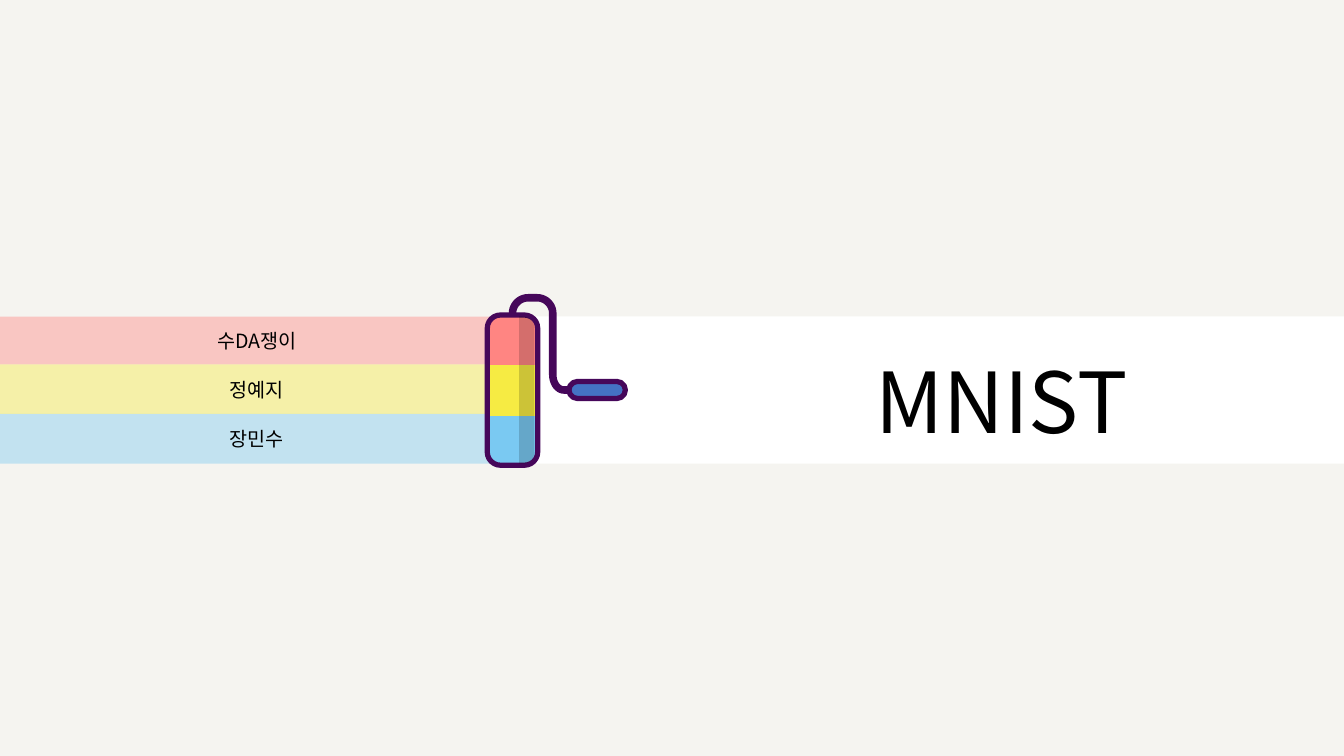
from math import cos, sin, radians
from lxml.etree import SubElement
from pptx import Presentation
from pptx.dml.color import RGBColor
from pptx.enum.shapes import MSO_SHAPE
from pptx.enum.text import MSO_ANCHOR, MSO_AUTO_SIZE, PP_ALIGN
from pptx.oxml import parse_xml
from pptx.oxml.ns import nsdecls, qn
from pptx.util import Pt

FONT = "Noto Sans CJK KR"
RED, YELLOW, BLUE, PURPLE = "FF8582", "F6EB43", "7AC9F2", "46075A"


def paint(fill, color, alpha=100):
    """Fill with a hex colour at an opacity in percent."""
    fill.solid()
    fill.fore_color.rgb = RGBColor.from_string(color)
    if alpha < 100:
        node = next(fill._xPr.iter(qn("a:srgbClr")))
        SubElement(node, qn("a:alpha")).set("val", str(alpha * 1000))


def arc(x, y, wide, high, start, end):
    """Points of an elliptic arc; angles in degrees, clockwise from right."""
    steps = 10
    turns = [radians(start + (end - start) * i / steps) for i in range(steps + 1)]
    return [(x + wide * cos(t), y + high * sin(t)) for t in turns]


deck = Presentation()
deck.slide_width, deck.slide_height = Pt(960), Pt(540)
slide = deck.slides.add_slide(deck.slide_layouts[5])
paint(slide.background.fill, "F5F4F0")
shapes = slide.shapes

# White strip and the three painted bands
strip = shapes.add_shape(MSO_SHAPE.RECTANGLE, Pt(368.6), Pt(226.1), Pt(591.4), Pt(105.1))
strip.shadow.inherit = False
paint(strip.fill, "FFFFFF")
strip.line.fill.background()

bands = [("수DA쟁이", RED, 226.1, 34.2), ("정예지", YELLOW, 260.3, 35.4),
         ("장민수", BLUE, 295.7, 35.5)]
for name, color, top, high in bands:
    band = shapes.add_shape(MSO_SHAPE.RECTANGLE, 0, Pt(top), Pt(367), Pt(high))
    band.shadow.inherit = False
    paint(band.fill, color, 41)
    band.line.fill.background()
    frame = band.text_frame
    frame.vertical_anchor = MSO_ANCHOR.MIDDLE
    para = frame.paragraphs[0]
    para.alignment = PP_ALIGN.CENTER
    run = para.add_run()
    run.text = name
    for key, value in {"name": FONT, "size": Pt(14)}.items():
        setattr(run.font, key, value)
    run.font.color.rgb = RGBColor.from_string("000000")
    SubElement(run.font._element, qn("a:ea")).set("typeface", FONT)

# Bent rod: two edges, each half a rod width from the middle line
edges = []
for half in (2.7, -2.7):
    size = 11.2 + half
    edges.append([(366.1 - half, 325.4),
                  *arc(377.3, 223.9, size, size, 180, 270),
                  *arc(383.7, 223.9, size, size, 270, 360),
                  *arc(402.9, 267.8, 8 - half, 10.8 - half, 180, 90),
                  (410.4, 278.6 - half)])
rod = edges[0] + edges[1][::-1]
shade = [(370.8, 226.1), *arc(373.4, 234.4, 8.3, 8.3, 270, 360),
         *arc(373.4, 322.9, 8.3, 8.3, 0, 90), (370.8, 331.2)]

# Roller parts, from back to front
parts = [("free", rod, PURPLE, 100),
         ("round", (348.1, 225, 36, 107.3, 0.262), RED, 100),
         ("round", (406.4, 272.5, 40.3, 12.2, 0.5), "4472C4", 100),
         ("free", shade, "000000", 17)]
for kind, data, color, alpha in parts:
    if kind == "free":
        dots = [(Pt(x), Pt(y)) for x, y in data]
        pen = shapes.build_freeform(*dots[0])
        pen.add_line_segments(dots[1:])
        part = pen.convert_to_shape()
        part.line.fill.background()
    else:
        part = shapes.add_shape(MSO_SHAPE.ROUNDED_RECTANGLE, *map(Pt, data[:4]))
        part.adjustments[0] = data[4]
        paint(part.line.fill, PURPLE)
        part.line.width = Pt(3.75)
    part.shadow.inherit = False
    paint(part.fill, color, alpha)
    if color == RED:
        roller = part

stops = [(33, RED), (33, YELLOW), (67, YELLOW), (67, BLUE)]
marks = "".join(f'<a:gs pos="{at * 1000}"><a:srgbClr val="{color}"/></a:gs>'
                for at, color in stops)
blend = parse_xml(f'<a:gradFill {nsdecls("a")}><a:gsLst>{marks}</a:gsLst>'
                  '<a:lin ang="5400000" scaled="0"/></a:gradFill>')
solid = roller.element.spPr.find(qn("a:solidFill"))
solid.getparent().replace(solid, blend)

# Title, moved in front of the white strip
title = shapes.title
title.element.getparent().append(title.element)
place = {"left": 536.4, "top": 216.7, "width": 357.8, "height": 102.2}
for key, value in place.items():
    setattr(title, key, Pt(value))
frame = title.text_frame
frame.text = "MNIST"
looks = {"word_wrap": True, "auto_size": MSO_AUTO_SIZE.NONE,
         "vertical_anchor": MSO_ANCHOR.MIDDLE}
for key, value in looks.items():
    setattr(frame, key, value)
para = frame.paragraphs[0]
para.alignment, para.line_spacing = PP_ALIGN.CENTER, 1.5
font = para.runs[0].font
font.name, font.size = FONT, Pt(60)
font.color.rgb = RGBColor.from_string("000000")

deck.save("out.pptx")
